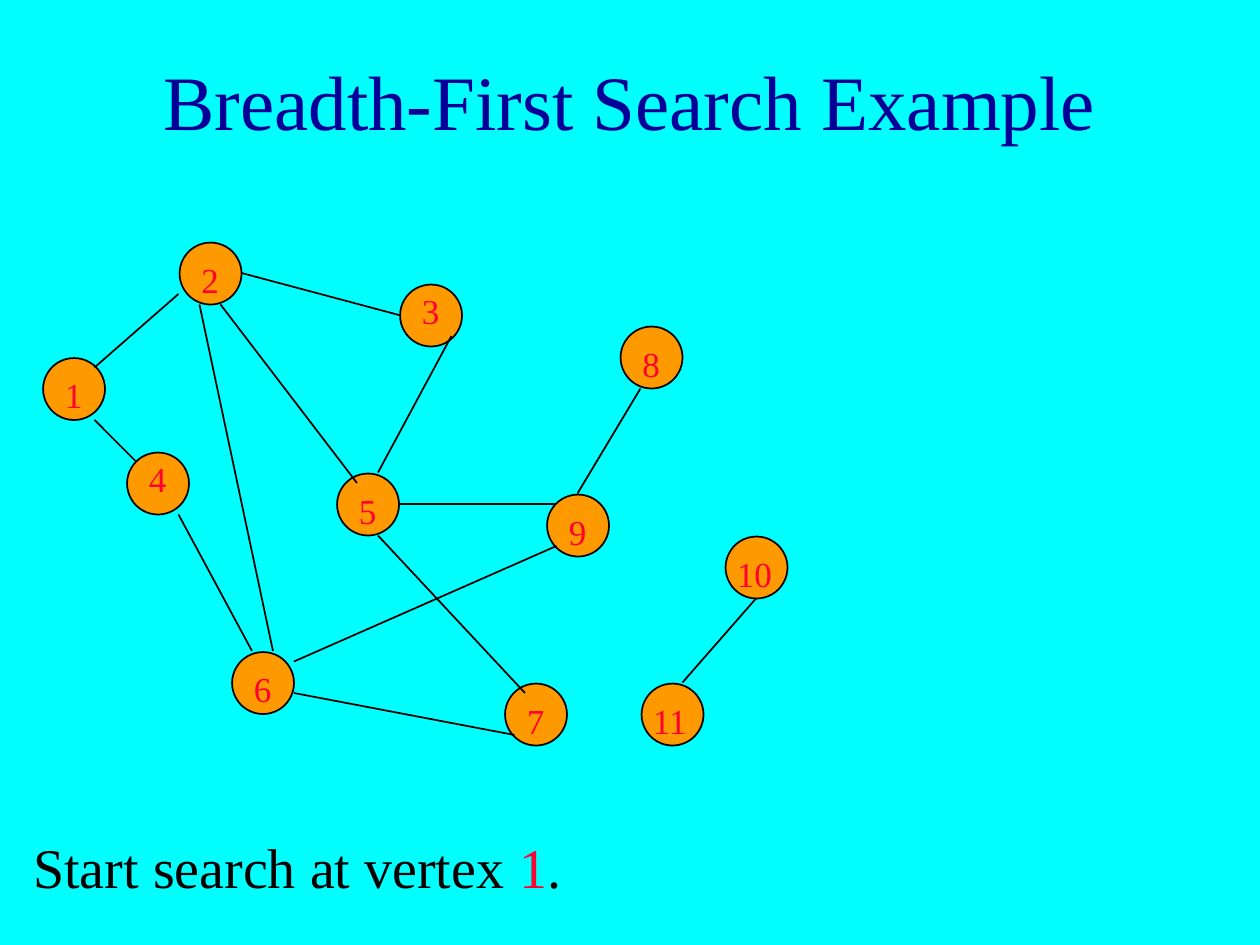
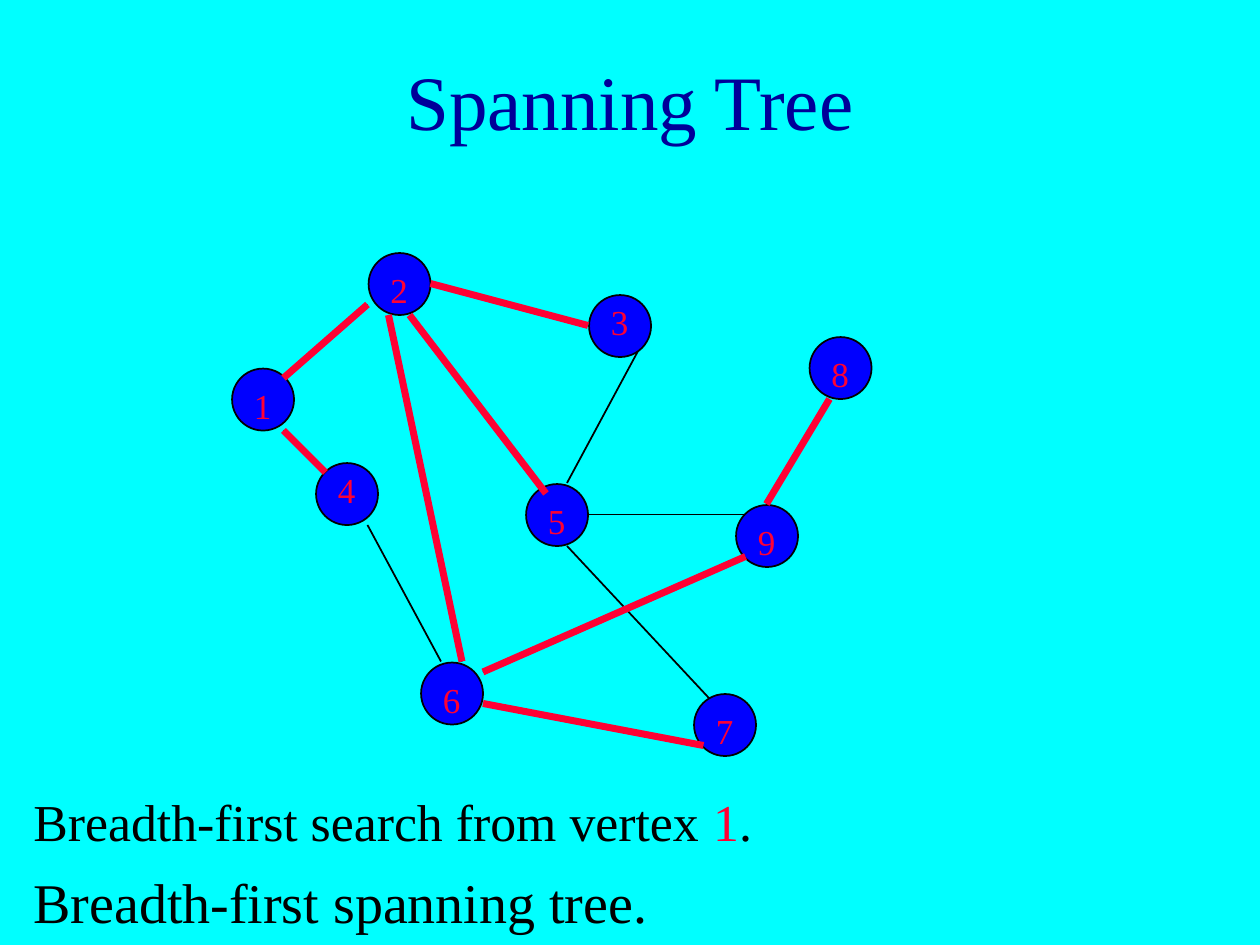
from dataclasses import dataclass

from pptx import Presentation
from pptx.dml.color import RGBColor
from pptx.enum.shapes import MSO_CONNECTOR, MSO_SHAPE
from pptx.enum.text import MSO_ANCHOR, MSO_AUTO_SIZE, PP_ALIGN
from pptx.oxml.xmlchemy import OxmlElement
from pptx.util import Pt

PX = 7620  # EMU per px, 120 px to the inch
STRAIGHT = MSO_CONNECTOR.STRAIGHT
OVAL = MSO_SHAPE.OVAL
TOP, MIDDLE = MSO_ANCHOR.TOP, MSO_ANCHOR.MIDDLE
LEFT, CENTER = PP_ALIGN.LEFT, PP_ALIGN.CENTER
GROW = MSO_AUTO_SIZE.SHAPE_TO_FIT_TEXT
BLANK = 6


@dataclass(frozen=True)
class Theme:
    font: str = "Times New Roman"
    background: str = "00FFFF"
    title: str = "000099"
    ink: str = "000000"
    accent: str = "FF0033"
    unvisited: str = "FF9900"
    visited: str = "0000FF"
    title_size: float = 44
    body_size: float = 32
    caption_size: float = 29.6
    label_size: float = 20
    thin: int = 1
    thick: int = 4


THEME = Theme()
DIAMETER = 59
TREE_SHIFT = (180, 10)

# Top left corner of each vertex on the 10 px grid
VERTICES = {
    1: (40, 340), 2: (170, 230), 3: (380, 270), 8: (590, 310),
    10: (690, 510), 4: (120, 430), 5: (320, 450), 9: (520, 470),
    11: (610, 650), 6: (220, 620), 7: (480, 650),
}
HIGH_LABELS = {3, 4}
LABEL_WIDTHS = {10: 60, 11: 100}

# Vertex pair: start x, start y, end x, end y
EDGES = {
    (1, 2): (170, 280, 90, 350),
    (2, 5): (210, 290, 340, 460),
    (1, 4): (90, 400, 130, 440),
    (4, 6): (170, 490, 240, 620),
    (6, 7): (280, 660, 490, 700),
    (3, 5): (430, 320, 360, 450),
    (5, 7): (360, 510, 500, 660),
    (9, 8): (610, 370, 550, 470),
    (10, 11): (650, 650, 720, 570),
    (5, 9): (380, 480, 530, 480),
    (2, 3): (230, 260, 380, 300),
    (2, 6): (190, 290, 260, 620),
    (6, 9): (280, 630, 530, 520),
}
# Tree edges as (parent, child), in the order the children are reached
TREE = [(1, 2), (1, 4), (2, 3), (2, 6), (2, 5), (6, 9), (6, 7), (9, 8)]


class Deck:
    def __init__(self, theme):
        self.theme = theme
        self.prs = Presentation()
        self.prs.slide_width, self.prs.slide_height = 1200 * PX, 900 * PX
        self.s = None
        self.shift = (0, 0)

    def slide(self, title, shift=(0, 0)):
        """Start a slide whose graph is moved by shift."""
        t = self.theme
        self.s = self.prs.slides.add_slide(self.prs.slide_layouts[BLANK])
        self.shift = shift
        fill = self.s.background.fill
        fill.solid()
        fill.fore_color.rgb = RGBColor.from_string(t.background)
        self.text((90, 20, 1020, 150), [(title, t.title)], t.title_size,
                  align=CENTER, anchor=MIDDLE)

    def text(self, box, runs, size, before=0, align=LEFT, anchor=TOP, grow=False):
        sp = self.s.shapes.add_textbox(*(v * PX for v in box))
        tf = sp.text_frame
        tf.word_wrap = True
        tf.vertical_anchor = anchor
        if grow:
            tf.auto_size = GROW
        p = tf.paragraphs[0]
        p.alignment = align
        p.space_before = Pt(before)
        for words, color in runs:
            r = p.add_run()
            r.text = words
            r.font.name = self.theme.font
            r.font.size = Pt(size)
            r.font.color.rgb = RGBColor.from_string(color)

    def start_vertex_text(self, box, words, size):
        """Write a sentence that ends with the start vertex, 1."""
        t = self.theme
        self.text(box, [(words, t.ink), ("1", t.accent), (".", t.ink)], size, before=8)

    def circle(self, vertex, color):
        x, y = self.moved(*VERTICES[vertex])
        sp = self.s.shapes.add_shape(OVAL, (x + 1) * PX, (y + 1) * PX,
                                     DIAMETER * PX, DIAMETER * PX)
        sp.shadow.inherit = False
        sp.fill.solid()
        sp.fill.fore_color.rgb = RGBColor.from_string(color)
        sp.line.color.rgb = RGBColor.from_string(self.theme.ink)
        sp.line.width = Pt(self.theme.thin)

    def label(self, vertex):
        x, y = self.moved(*VERTICES[vertex])
        dx = 0 if vertex in LABEL_WIDTHS else 10
        dy = 0 if vertex in HIGH_LABELS else 10
        box = (x + dx, y + dy, LABEL_WIDTHS.get(vertex, 30), 52)
        self.text(box, [(str(vertex), self.theme.accent)], self.theme.label_size,
                  before=12.5, grow=True)

    def edge(self, pair, color, width):
        x1, y1, x2, y2 = EDGES[pair]
        ends = self.moved(x1, y1) + self.moved(x2, y2)
        cx = self.s.shapes.add_connector(STRAIGHT, *(v * PX for v in ends))
        cx.line.color.rgb = RGBColor.from_string(color)
        cx.line.width = Pt(width)
        cx._element.spPr.append(OxmlElement("a:effectLst"))

    def moved(self, x, y):
        return x + self.shift[0], y + self.shift[1]


def search_example(deck):
    t = deck.theme
    deck.slide("Breadth-First Search Example")
    deck.start_vertex_text((20, 787, 1020, 94), "Start search at vertex ", t.body_size)
    for vertex in VERTICES:
        deck.circle(vertex, t.unvisited)
    for pair in EDGES:
        deck.edge(pair, t.ink, t.thin)
    for vertex in VERTICES:
        deck.label(vertex)


def spanning_tree(deck):
    t = deck.theme
    deck.slide("Spanning Tree", TREE_SHIFT)
    deck.start_vertex_text((20, 746, 1180, 73), "Breadth-first search from vertex ",
                           t.caption_size)
    reached = {1} | {child for _, child in TREE}
    for pair in EDGES:
        if reached.issuperset(pair):
            deck.edge(pair, t.ink, t.thin)
    deck.circle(1, t.visited)
    deck.label(1)
    for pair in TREE:
        child = pair[1]
        deck.circle(child, t.visited)
        deck.label(child)
        deck.edge(pair, t.accent, t.thick)
    deck.text((20, 820, 990, 76), [("Breadth-first spanning tree.", t.ink)],
              t.body_size, before=20, grow=True)


def main():
    deck = Deck(THEME)
    search_example(deck)
    spanning_tree(deck)
    deck.prs.save("out.pptx")


if __name__ == "__main__":
    main()
